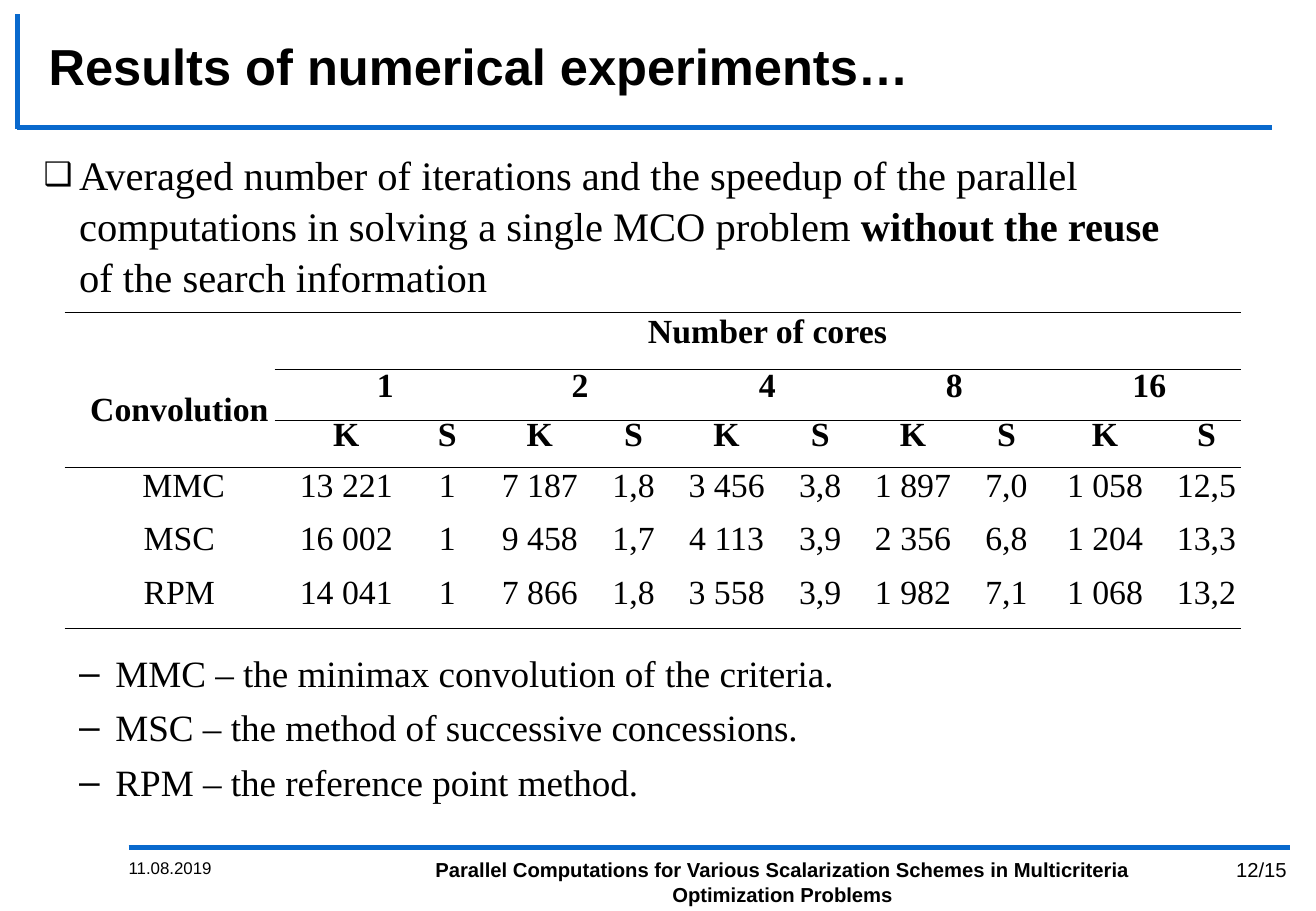
from pptx import Presentation
from pptx.dml.color import RGBColor as Rgb
from pptx.enum.shapes import MSO_CONNECTOR as Conn
from pptx.enum.text import MSO_ANCHOR as Anchor, MSO_AUTO_SIZE as Fit, PP_ALIGN as Align
from pptx.oxml.ns import qn
from pptx.util import Cm, Pt
from lxml.etree import SubElement as Sub, Element

COLORS = {"ink": "000000", "rule": "0969CD"}
SANS, SERIF = "Arial", "Times New Roman"

INTRO = [
    ("Averaged number of iterations and the speedup of the parallel "
     "computations in solving a single MCO problem ", False),
    ("without the reuse ", True),
    ("of the search information", False),
]
TERMS = [
    "MMC – the minimax convolution of the criteria.",
    "MSC – the method of successive concessions.",
    "RPM – the reference point method.",
]
CORES = ["1", "2", "4", "8", "16"]
DATA = [
    [" MMC", "13 221", "1", "7 187", "1,8", "3 456", "3,8", "1 897", "7,0", "1 058", "12,5"],
    [" MSC ", "16 002", "1", "9 458", "1,7", "4 113", "3,9", "2 356", "6,8", "1 204", "13,3"],
    [" RPM ", "14 041", "1", "7 866", "1,8", "3 558", "3,9", "1 982", "7,1", "1 068", "13,2"],
]
ROWS = [
    ["", "Number of cores"] + [""] * 9,
    ["Convolution"] + [text for core in CORES for text in (core, "")],
    [""] + ["K", "S"] * len(CORES),
] + DATA
WIDTHS = [4.39, 2.59, 1.63, 2.24, 1.68, 2.21, 1.7, 2.18, 1.73, 2.39, 1.85]
HEIGHTS = [1.19, 1.07, 0.99, 1.12, 1.12, 1.12]
MERGES = [(0, 1, 0, 10), (1, 0, 2, 0)] + [(1, c, 1, c + 1) for c in range(1, 11, 2)]
RULES = {0: (0, 1), 1: (1, 0.5), 2: (1, 1), 3: (0, 1), 6: (0, 1)}


class Deck:
    """Hold the style and the current slide."""

    def __init__(self, width, height):
        self.prs = Presentation()
        self.prs.slide_width, self.prs.slide_height = Cm(width), Cm(height)
        self.slide = self.prs.slides.add_slide(self.prs.slide_layouts[1])

    def font(self, para, name, size, bold=False):
        font = para.font
        font.name, font.size, font.bold = name, Pt(size), bold
        font.color.rgb = Rgb.from_string(COLORS["ink"])

    def place(self, shape, box):
        shape.left, shape.top, shape.width, shape.height = map(Cm, box)

    def line(self, x1, y1, x2, y2):
        line = self.slide.shapes.add_connector(
            Conn.STRAIGHT, Cm(x1), Cm(y1), Cm(x2), Cm(y2))
        line.line.width = Pt(3)
        line.line.color.rgb = Rgb.from_string(COLORS["rule"])
        Sub(line._element.spPr, qn("a:effectLst"))

    def title(self, text, *box):
        shape = self.slide.shapes.title
        self.place(shape, box)
        frame = shape.text_frame
        frame.text = text
        frame.auto_size, frame.vertical_anchor = Fit.NONE, Anchor.MIDDLE
        frame.paragraphs[0].alignment = Align.LEFT
        self.font(frame.paragraphs[0], SANS, 30, True)

    def bullet(self, para, char, left, hang, scale=100):
        props = para._p.get_or_add_pPr()
        props.set("marL", str(Cm(left)))
        props.set("indent", str(-Cm(hang)))
        Sub(props, qn("a:buSzPct"), val=str(scale * 1000))
        Sub(props, qn("a:buFont"), typeface=SANS)
        Sub(props, qn("a:buChar"), char=char)

    def body(self, intro, terms, gap, *box):
        shape = self.slide.placeholders[1]
        self.place(shape, box)
        frame = shape.text_frame
        frame.auto_size = Fit.NONE
        para = frame.paragraphs[0]
        for text, bold in intro:
            run = para.add_run()
            run.text, run.font.bold = text, bold
            if bold:
                para.add_line_break()
        self.font(para, SERIF, 24)
        para.line_spacing, para.space_before = 1.05, Pt(4.8)
        self.bullet(para, "❑", 0.74, 0.74, 80)
        for i, text in enumerate(terms):
            para = frame.add_paragraph()
            para.text, para.level = text, 1
            self.font(para, SERIF, 22)
            para.line_spacing, para.space_before = 1.05, Pt(4.4 if i else gap)
            self.bullet(para, "–", 1.5, 0.76)

    def label(self, text, size, align, bold, *box):
        frame = self.slide.shapes.add_textbox(*map(Cm, box)).text_frame
        frame.word_wrap, frame.text = True, text
        frame.paragraphs[0].alignment = align
        self.font(frame.paragraphs[0], SANS, size, bold)

    def edges(self, cell, row, col):
        props = cell._tc.get_or_add_tcPr()
        for i, (side, rule) in enumerate(
                [("L", None), ("R", None), ("T", row), ("B", row + 1)]):
            start, width = RULES.get(rule, (len(WIDTHS), 0))
            edge = Element(qn("a:ln" + side), w=str(Pt(width)))
            if col >= start:
                fill = Sub(edge, qn("a:solidFill"))
                Sub(fill, qn("a:srgbClr"), val=COLORS["ink"])
            else:
                Sub(edge, qn("a:noFill"))
            props.insert(i, edge)

    def table(self, x, y):
        table = self.slide.shapes.add_table(
            len(ROWS), len(WIDTHS), Cm(x), Cm(y),
            Cm(sum(WIDTHS)), Cm(sum(HEIGHTS))).table
        table.first_row = table.horz_banding = False
        for col, width in zip(table.columns, WIDTHS):
            col.width = Cm(width)
        for row, height in zip(table.rows, HEIGHTS):
            row.height = Cm(height)
        for r, texts in enumerate(ROWS):
            for c, text in enumerate(texts):
                cell = table.cell(r, c)
                cell.text, cell.vertical_anchor = text, Anchor.MIDDLE
                cell.margin_left = cell.margin_right = Cm(0.05)
                cell.margin_top = cell.margin_bottom = 0
                cell.fill.background()
                para = cell.text_frame.paragraphs[0]
                para.alignment, para.line_spacing = Align.CENTER, Pt(12)
                para._p.get_or_add_pPr().set("indent", str(Cm(0.41)))
                self.font(para, SERIF, 20, r < 3)
                self.edges(cell, r, c)
        for top, left, bottom, right in MERGES:
            table.cell(top, left).merge(table.cell(bottom, right))


def main():
    deck = Deck(27.51, 19.05)
    deck.line(2.69, 17.73, 26.97, 17.73)
    deck.line(0.36, 2.67, 26.59, 2.67)
    deck.line(0.36, 0.3, 0.36, 2.69)
    deck.title("Results of numerical experiments…", 0.76, 0.58, 26.29, 1.55)
    deck.body(INTRO, TERMS, 206, 0.66, 2.97, 26.39, 14.48)
    deck.label("11.08.2019", 10, Align.LEFT, False, 2.44, 17.81, 5.69, 1.24)
    deck.label("Parallel Computations for Various Scalarization Schemes in "
               "Multicriteria Optimization Problems",
               12, Align.CENTER, True, 8.36, 17.81, 16, 1.24)
    deck.table(1.35, 6.53)
    deck.label("12/15", 12, Align.RIGHT, False, 24.56, 17.81, 2.59, 1.24)
    deck.prs.save("out.pptx")


if __name__ == "__main__":
    main()
